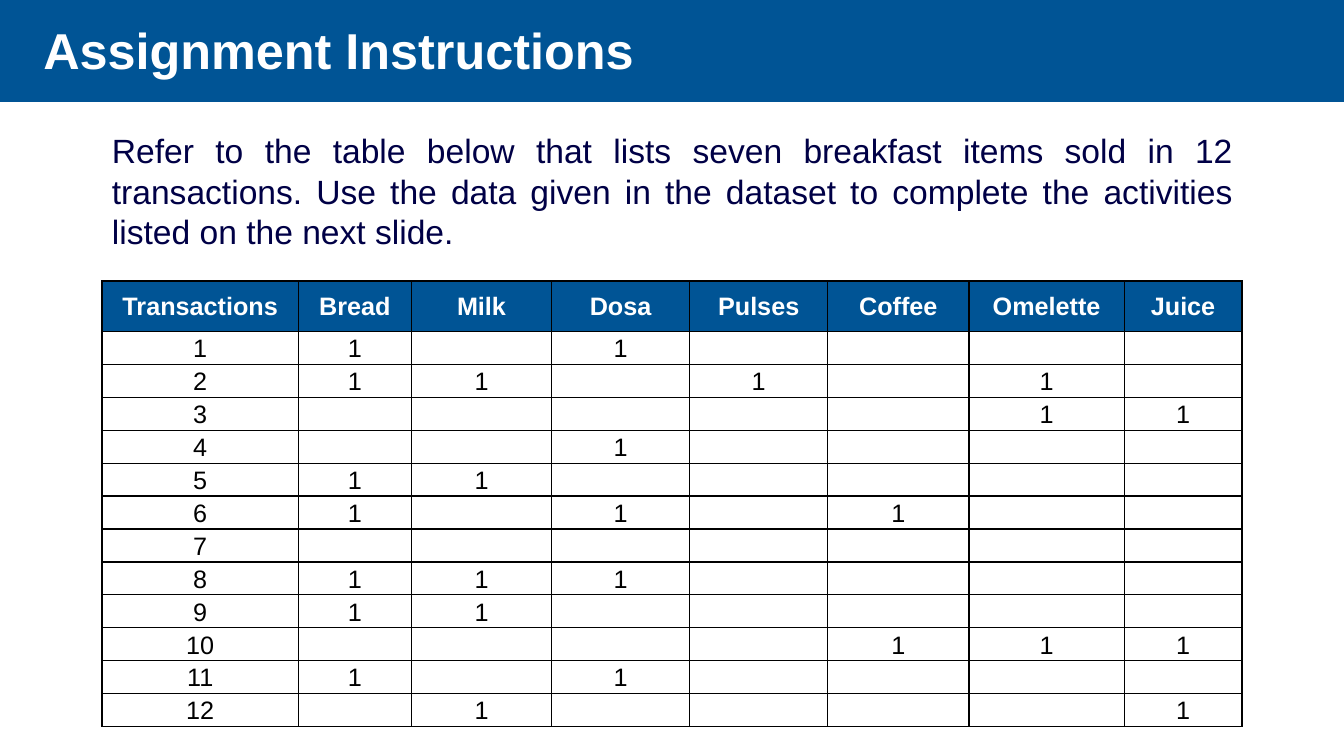
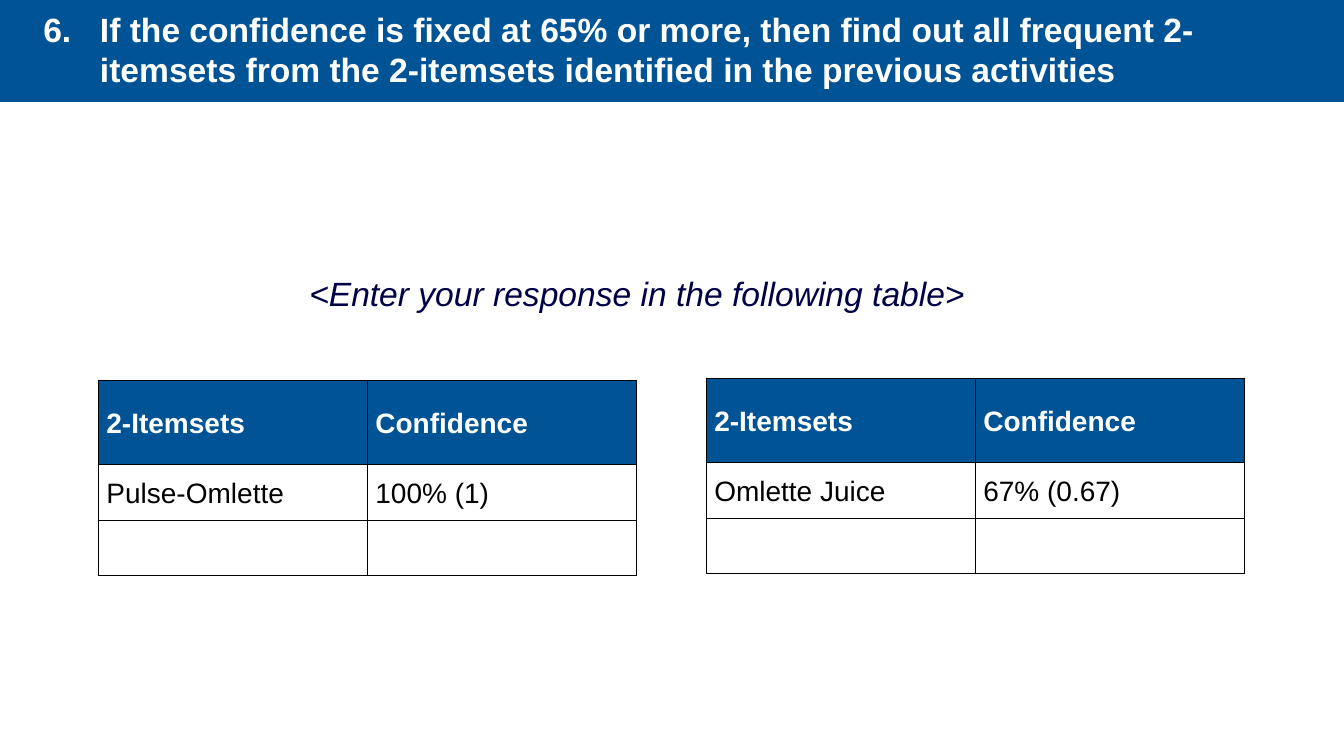
"""Build two assignment slides about breakfast transactions."""
import lxml.etree
import pptx
import pptx.dml.color
import pptx.enum.shapes
import pptx.enum.text
import pptx.oxml
import pptx.oxml.ns
import pptx.util

Cm = pptx.util.Cm
Pt = pptx.util.Pt
qn = pptx.oxml.ns.qn
ALIGN = pptx.enum.text.PP_ALIGN
ANCHOR = pptx.enum.text.MSO_ANCHOR

COLORS = {"blue": "005495", "navy": "000046", "white": "FFFFFF", "black": "000000"}
SLIDE = {"width": Cm(33.87), "height": Cm(19.05)}
TITLE = {"left": Cm(0.84), "top": Cm(0.2), "width": Cm(32.31), "height": Cm(2.08)}
FRAME = {
    "word_wrap": True,
    "auto_size": pptx.enum.text.MSO_AUTO_SIZE.NONE,
    "margin_left": Cm(0.25),
    "margin_right": Cm(0.25),
    "margin_top": Cm(0.13),
    "margin_bottom": Cm(0.13),
}
CELL = {
    "vertical_anchor": ANCHOR.MIDDLE,
    "margin_left": Cm(0.19),
    "margin_right": Cm(0.19),
    "margin_top": 0,
    "margin_bottom": 0,
}
ITEMS = ["Bread", "Milk", "Dosa", "Pulses", "Coffee", "Omelette", "Juice"]
BASKETS = [
    ["Bread", "Dosa"],
    ["Bread", "Milk", "Pulses", "Omelette"],
    ["Omelette", "Juice"],
    ["Dosa"],
    ["Bread", "Milk"],
    ["Bread", "Dosa", "Coffee"],
    [],
    ["Bread", "Milk", "Dosa"],
    ["Bread", "Milk"],
    ["Coffee", "Omelette", "Juice"],
    ["Bread", "Dosa"],
    ["Milk", "Juice"],
]
ITEM_WIDTHS = [4.95, 2.85, 3.53, 3.48, 3.48, 3.56, 3.91, 2.97]


def apply(obj, values):
    """Set each named attribute of an object."""
    for name, value in values.items():
        setattr(obj, name, value)


def rgb(color):
    """Return the colour stored under a name."""
    return pptx.dml.color.RGBColor.from_string(COLORS[color])


def write(p, text, size, color, align=ALIGN.LEFT, **style):
    """Add one formatted run to a paragraph."""
    p.alignment = align
    r = p.add_run()
    r.text = text
    apply(r.font, {"name": "Arial", "size": Pt(size), **style})
    r.font.color.rgb = rgb(color)


def add_band(s, width):
    """Draw the blue band behind the title."""
    sp = s.shapes.add_shape(pptx.enum.shapes.MSO_SHAPE.RECTANGLE, 0, 0, width, Cm(2.54))
    sp.shadow.inherit = False
    sp.fill.solid()
    sp.fill.fore_color.rgb = rgb("blue")
    sp.line.color.rgb = rgb("blue")
    sp.line.width = Pt(2)
    s.shapes.title.element.addprevious(sp.element)


def number(p, start):
    """Number a paragraph with a hanging indent."""
    pPr = p._p.get_or_add_pPr()
    pPr.set("marL", str(Cm(1.43)))
    pPr.set("indent", str(-Cm(1.43)))
    buClr = lxml.etree.SubElement(pPr, qn("a:buClr"))
    lxml.etree.SubElement(buClr, qn("a:srgbClr"), val=COLORS["white"])
    lxml.etree.SubElement(pPr, qn("a:buAutoNum"), type="arabicPeriod", startAt=str(start))


def add_slide(prs, title, size, start=None):
    """Add a slide with the band and a formatted title."""
    s = prs.slides.add_slide(prs.slide_layouts[5])
    sp = s.shapes.title
    apply(sp, TITLE)
    tf = sp.text_frame
    apply(tf, {**FRAME, "vertical_anchor": ANCHOR.MIDDLE})
    p = tf.paragraphs[0]
    if start:
        number(p, start)
    write(p, title, size, "white", bold=True)
    add_band(s, prs.slide_width)
    return s


def add_text(s, box, text, align, **style):
    """Add a text box with one navy paragraph."""
    tf = s.shapes.add_textbox(*map(Cm, box)).text_frame
    apply(tf, FRAME)
    write(tf.paragraphs[0], text, 24, "navy", align, **style)


def add_borders(cell):
    """Draw a thin black line on every side of a cell."""
    tcPr = cell._tc.get_or_add_tcPr()
    for i, side in enumerate(("a:lnL", "a:lnR", "a:lnT", "a:lnB")):
        ln = lxml.etree.Element(qn(side), w=str(Pt(1)))
        fill = lxml.etree.SubElement(ln, qn("a:solidFill"))
        lxml.etree.SubElement(fill, qn("a:srgbClr"), val=COLORS["black"])
        tcPr.insert(i, ln)


def format_cell(cell, text, header, size, align):
    """Fill one cell with its text, colour and borders."""
    apply(cell, CELL)
    cell.fill.solid()
    cell.fill.fore_color.rgb = rgb("blue" if header else "white")
    add_borders(cell)
    if text:
        p = cell.text_frame.paragraphs[0]
        p.line_spacing = 1.07
        write(p, text, size, "white" if header else "black", align, bold=header)


def add_table(s, left, top, widths, heights, rows, size, align):
    """Add a bordered table whose first row is a header."""
    box = map(Cm, (left, top, sum(widths), sum(heights)))
    table = s.shapes.add_table(len(rows), len(widths), *box).table
    for column, width in zip(table.columns, widths):
        column.width = Cm(width)
    for i, (row, height) in enumerate(zip(rows, heights)):
        table.rows[i].height = Cm(height)
        for j, text in enumerate(row):
            format_cell(table.cell(i, j), text, i == 0, size, align)


def transaction_rows():
    """Return the header and one row of marks per basket."""
    rows = [["Transactions", *ITEMS]]
    for n, basket in enumerate(BASKETS, 1):
        rows.append([str(n), *("1" if item in basket else "" for item in ITEMS)])
    return rows


def main():
    """Build both slides and save the file."""
    prs = pptx.Presentation()
    apply(prs, {f"slide_{side}": length for side, length in SLIDE.items()})

    s = add_slide(prs, "Assignment Instructions", 36)
    add_text(
        s, (2.57, 3.15, 28.75, 3.05),
        "Refer to the table below that lists seven breakfast items sold in 12 transactions. "
        "Use the data given in the dataset to complete the activities listed on the next slide.",
        ALIGN.JUSTIFY,
    )
    heights = [1.27] + [0.83] * len(BASKETS)
    add_table(s, 2.57, 7.08, ITEM_WIDTHS, heights, transaction_rows(), 18, ALIGN.CENTER)

    s = add_slide(
        prs,
        "If the confidence is fixed at 65% or more, then find out all frequent 2-itemsets "
        "from the 2-itemsets identified in the previous activities",
        24, start=6,
    )
    add_text(
        s, (0.84, 6.75, 30.43, 1.3), "<Enter your response in the following table>",
        ALIGN.CENTER, italic=True,
    )
    for left, top, answer in (
        (2.49, 9.58, ["Pulse-Omlette", "100% (1)"]),
        (17.81, 9.53, ["Omlette Juice", "67% (0.67)"]),
    ):
        rows = [["2-Itemsets", "Confidence"], answer, ["", ""]]
        add_table(s, left, top, [6.78] * 2, [2.13, 1.4, 1.4], rows, 20, ALIGN.LEFT)

    prs.save("out.pptx")


if __name__ == "__main__":
    main()
